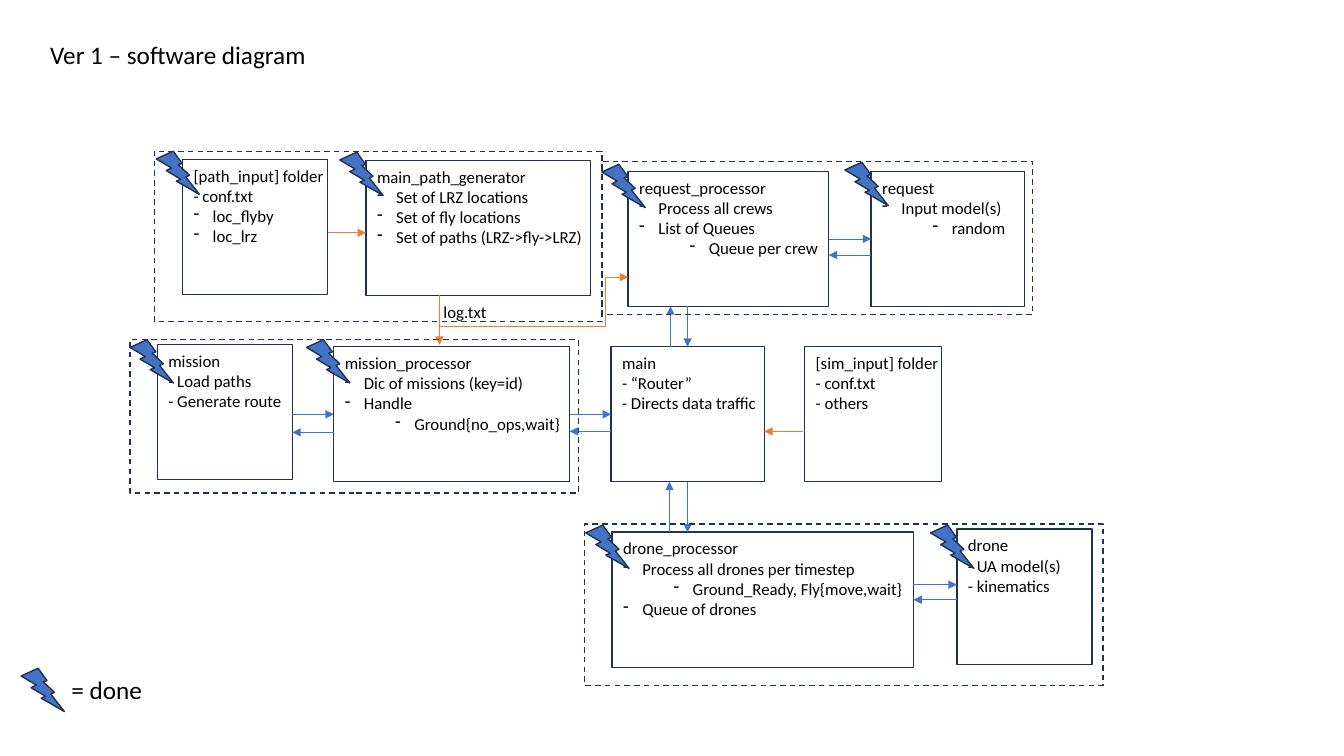
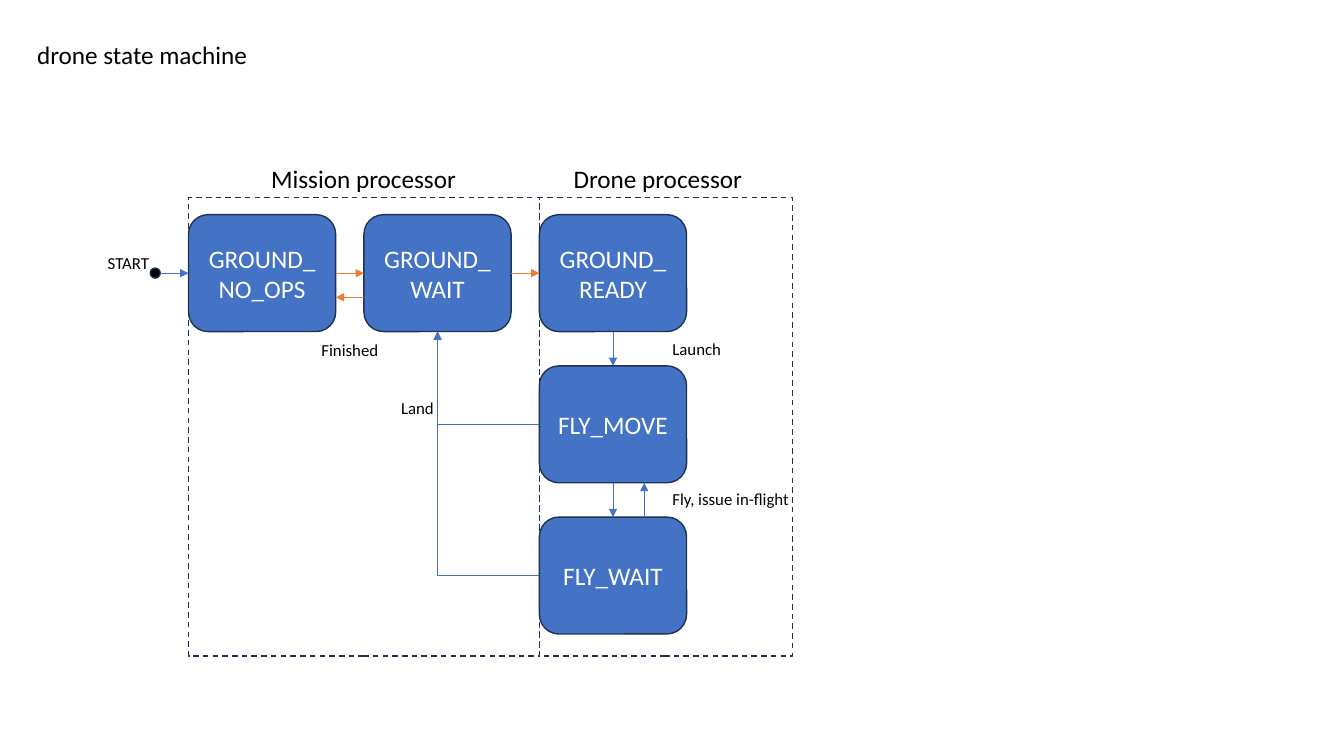
from dataclasses import dataclass

from lxml.etree import SubElement
from pptx import Presentation
from pptx.dml.color import RGBColor
from pptx.enum.dml import MSO_LINE
from pptx.enum.shapes import MSO_CONNECTOR, MSO_SHAPE
from pptx.enum.text import MSO_ANCHOR, PP_ALIGN
from pptx.oxml.ns import qn
from pptx.util import Inches, Pt


@dataclass(frozen=True)
class Theme:
    font: str = "Calibri"
    blue: RGBColor = RGBColor(0x44, 0x72, 0xC4)
    orange: RGBColor = RGBColor(0xED, 0x7D, 0x31)
    navy: RGBColor = RGBColor(0x1E, 0x32, 0x56)
    black: RGBColor = RGBColor(0, 0, 0)
    white: RGBColor = RGBColor(255, 255, 255)
    large: Pt = Pt(18)
    small: Pt = Pt(12)
    outline: Pt = Pt(1)
    arrow: Pt = Pt(0.5)


THEME = Theme()
TOP, LEFT, BOTTOM, RIGHT = range(4)
PLAIN, ITEM, SUBITEM = None, 0, 1
BULLET_INDENT = 0.19
SUBITEM_STEP = 0.5

CARD_HEIGHT = 1.34
CARD_FORMAT = {
    "margin_left": Inches(0.11), "margin_top": Inches(0.06), "margin_right": 0,
    "margin_bottom": 0, "vertical_anchor": MSO_ANCHOR.TOP, "word_wrap": True,
}
LABEL_FORMAT = {"word_wrap": False}
TITLE_FORMAT = {"word_wrap": True}
STATE_FORMAT = {"vertical_anchor": MSO_ANCHOR.MIDDLE, "word_wrap": True}

SOFTWARE_TITLE = ("Ver 1 – software diagram", 0.4)
MODULES = {
    "path_input": (1.81, 1.58, 1.44, [
        ("[path_input] folder", PLAIN), ("- conf.txt", PLAIN),
        ("loc_flyby", ITEM), ("loc_lrz", ITEM)]),
    "path_generator": (3.63, 1.59, 2.23, [
        ("main_path_generator", PLAIN), ("Set of LRZ locations", ITEM),
        ("Set of fly locations", ITEM), ("Set of paths (LRZ->fly->LRZ)", ITEM)]),
    "request_processor": (6.23, 1.7, 1.99, [
        ("request_processor", PLAIN), ("Process all crews", ITEM),
        ("List of Queues", ITEM), ("Queue per crew", SUBITEM)]),
    "request": (8.64, 1.7, 1.52, [
        ("request", PLAIN), ("Input model(s)", ITEM), ("random", SUBITEM)]),
    "mission": (1.56, 3.42, 1.34, [
        ("mission", PLAIN), ("- Load paths", PLAIN), ("- Generate route", PLAIN)]),
    "mission_processor": (3.31, 3.44, 2.34, [
        ("mission_processor", PLAIN), ("Dic of missions (key=id)", ITEM),
        ("Handle", ITEM), ("Ground{no_ops,wait}", SUBITEM)]),
    "main": (6.06, 3.44, 1.52, [
        ("main", PLAIN), ("- “Router”", PLAIN), ("- Directs data traffic", PLAIN)]),
    "sim_input": (7.98, 3.44, 1.36, [
        ("[sim_input] folder", PLAIN), ("- conf.txt", PLAIN), ("- others", PLAIN)]),
    "drone_processor": (6.07, 5.28, 2.99, [
        ("drone_processor", PLAIN), ("Process all drones per timestep", ITEM),
        ("Ground_Ready, Fly{move,wait}", SUBITEM), ("Queue of drones", ITEM)]),
    "drone": (9.49, 5.25, 1.34, [
        ("drone", PLAIN), ("- UA model(s)", PLAIN), ("- kinematics", PLAIN)]),
}
MODULE_GROUPS = [
    (1.53, 1.5, 4.44, 1.69), (5.97, 1.6, 4.27, 1.52),
    (1.29, 3.37, 4.45, 1.52), (5.8, 5.2, 5.14, 1.6),
]
DONE_MARKS = [
    (1.55, 1.5), (3.37, 1.51), (5.97, 1.63), (8.38, 1.61), (1.29, 3.37),
    (3.04, 3.37), (5.81, 5.21), (9.23, 5.21), (0.21, 6.63),
]
DONE_SIZE = 0.43
DATA_FLOWS = [
    ((3.25, 2.31), (3.63, 2.31)),
    ((4.36, 2.93), (4.36, 3.42)),
    ((7.96, 4.28), (7.58, 4.28)),
]
LOG_FLOW = ((4.36, 3.24), (6.23, 2.75))
LOG_BEND = 87800
CALLS = [
    (("request_processor", RIGHT), ("request", LEFT)),
    ((8.64, 2.53), (8.22, 2.53)),
    ((6.65, 3.44), (6.65, 3.04)),
    ((6.82, 3.04), ("main", TOP)),
    ((2.9, 4.11), ("mission_processor", LEFT)),
    ((3.31, 4.29), (2.9, 4.29)),
    (("mission_processor", RIGHT), ("main", LEFT)),
    ((6.06, 4.28), (5.65, 4.28)),
    ((6.64, 5.28), (6.64, 4.78)),
    (("main", BOTTOM), (6.82, 5.28)),
    ((9.06, 5.8), (9.49, 5.8)),
    ((9.49, 5.95), ("drone_processor", RIGHT)),
]
SOFTWARE_LABELS = [
    ("log.txt", 4.3, 2.94, 0.63, THEME.small),
    ("= done", 0.61, 6.64, 0.91, THEME.large),
]

STATE_TITLE = ("drone state machine", 0.27)
STATES = {
    "GROUND_NO_OPS": (0, 0), "GROUND_WAIT": (1, 0), "GROUND_READY": (2, 0),
    "FLY_MOVE": (2, 1), "FLY_WAIT": (2, 2),
}
STATE_ORIGIN = (1.87, 2.13)
STATE_PITCH = (1.74, 1.5)
STATE_SIZE = (1.46, 1.16)
START_DOT = (1.49, 2.66, 0.1, 0.1)
STATE_GROUPS = [(5.35, 1.96, 2.51, 4.55), (1.87, 1.96, 3.48, 4.55)]
GROUND_MOVES = [
    (("GROUND_NO_OPS", RIGHT), ("GROUND_WAIT", LEFT)),
    (("GROUND_WAIT", RIGHT), ("GROUND_READY", LEFT)),
    ((3.61, 2.95), (3.33, 2.95)),
]
FLIGHT_MOVES = [
    ((1.59, 2.71), ("GROUND_NO_OPS", LEFT)),
    (("GROUND_READY", BOTTOM), ("FLY_MOVE", TOP)),
    (("FLY_MOVE", BOTTOM), ("FLY_WAIT", TOP)),
    ((6.39, 5.13), (6.39, 4.79)),
]
LANDINGS = [
    (("FLY_MOVE", LEFT), ("GROUND_WAIT", BOTTOM)),
    (("FLY_WAIT", LEFT), ("GROUND_WAIT", BOTTOM)),
]
STATE_LABELS = [
    ("START", 0.97, 2.46, 0.62, THEME.small),
    ("Finished", 3.09, 3.32, 0.77, THEME.small),
    ("Land", 3.88, 3.9, 0.53, THEME.small),
    ("Launch", 6.57, 3.31, 0.69, THEME.small),
    ("Fly, issue in-flight", 6.57, 4.8, 1.37, THEME.small),
    ("Mission processor", 2.59, 1.57, 2.05, THEME.large),
    ("Drone processor", 5.59, 1.57, 1.89, THEME.large),
]


def apply_format(target, values):
    for attribute, value in values.items():
        setattr(target, attribute, value)


def indent_paragraph(paragraph, level):
    properties = paragraph._p.get_or_add_pPr()
    margin = BULLET_INDENT + level * SUBITEM_STEP
    properties.set("marL", str(Inches(margin)))
    properties.set("indent", str(-Inches(BULLET_INDENT)))
    SubElement(properties, qn("a:buChar"), char="-")


def write_lines(frame, lines, size, color, frame_format, align=PP_ALIGN.LEFT):
    apply_format(frame, frame_format)
    for index, (text, level) in enumerate(lines):
        paragraph = frame.add_paragraph() if index else frame.paragraphs[0]
        paragraph.alignment = align
        run = paragraph.add_run()
        run.text = text
        apply_format(run.font, {"name": THEME.font, "size": size})
        run.font.color.rgb = color
        if level is not PLAIN:
            paragraph.level = level
            indent_paragraph(paragraph, level)


def add_label(slide, text, left, top, width, size, frame_format=LABEL_FORMAT):
    height = 0.4 if size == THEME.large else 0.3
    label = slide.shapes.add_textbox(*map(Inches, (left, top, width, height)))
    write_lines(label.text_frame, [(text, PLAIN)], size, THEME.black, frame_format)


def add_outlined(slide, preset, bounds, fill=None, dashed=False):
    outlined = slide.shapes.add_shape(preset, *map(Inches, bounds))
    outlined.shadow.inherit = False
    if fill is None:
        outlined.fill.background()
    else:
        outlined.fill.solid()
        outlined.fill.fore_color.rgb = fill
    outlined.line.color.rgb = THEME.navy
    outlined.line.width = THEME.outline
    if dashed:
        outlined.line.dash_style = MSO_LINE.DASH
    return outlined


def side_middle(box, side):
    return {
        TOP: (box.left + box.width // 2, box.top),
        LEFT: (box.left, box.top + box.height // 2),
        BOTTOM: (box.left + box.width // 2, box.top + box.height),
        RIGHT: (box.left + box.width, box.top + box.height // 2),
    }[side]


def add_arrow(slide, boxes, start, end, color, kind=MSO_CONNECTOR.STRAIGHT):
    joined = [isinstance(tip[0], str) for tip in (start, end)]
    points = [
        side_middle(boxes[tip[0]], tip[1]) if is_joined else tuple(map(Inches, tip))
        for tip, is_joined in zip((start, end), joined)
    ]
    arrow = slide.shapes.add_connector(kind, *points[0], *points[1])
    if joined[0]:
        arrow.begin_connect(boxes[start[0]], start[1])
    if joined[1]:
        arrow.end_connect(boxes[end[0]], end[1])
    arrow.line.color.rgb = color
    arrow.line.width = THEME.arrow
    SubElement(arrow.line._get_or_add_ln(), qn("a:tailEnd"), type="triangle")
    SubElement(arrow._element.spPr, qn("a:effectLst"))
    return arrow


def add_elbow(slide, boxes, start, end, color, preset, bend=None):
    elbow = add_arrow(slide, boxes, start, end, color, MSO_CONNECTOR.ELBOW)
    geometry = elbow._element.spPr.find(qn("a:prstGeom"))
    geometry.set("prst", preset)
    if bend is not None:
        SubElement(geometry.find(qn("a:avLst")), qn("a:gd"), name="adj1", fmla=f"val {bend}")


def start_slide(deck, title, left):
    slide = deck.slides.add_slide(deck.slide_layouts[6])
    add_label(slide, title, left, 0.34, 6.67, THEME.large, TITLE_FORMAT)
    return slide


def finish_slide(slide, groups, labels):
    for bounds in groups:
        add_outlined(slide, MSO_SHAPE.RECTANGLE, bounds, dashed=True)
    for label in labels:
        add_label(slide, *label)


def build_software_diagram(deck):
    slide = start_slide(deck, *SOFTWARE_TITLE)
    cards = {}
    for name, (left, top, width, lines) in MODULES.items():
        bounds = (left, top, width, CARD_HEIGHT)
        cards[name] = add_outlined(slide, MSO_SHAPE.RECTANGLE, bounds)
        write_lines(cards[name].text_frame, lines, THEME.small, THEME.black, CARD_FORMAT)
    for flows, color in ((DATA_FLOWS, THEME.orange), (CALLS, THEME.blue)):
        for start, end in flows:
            add_arrow(slide, cards, start, end, color)
    add_elbow(slide, cards, *LOG_FLOW, THEME.orange, "bentConnector3", LOG_BEND)
    for corner in DONE_MARKS:
        bounds = (*corner, DONE_SIZE, DONE_SIZE)
        add_outlined(slide, MSO_SHAPE.LIGHTNING_BOLT, bounds, THEME.blue)
    finish_slide(slide, MODULE_GROUPS, SOFTWARE_LABELS)


def build_state_machine(deck):
    slide = start_slide(deck, *STATE_TITLE)
    states = {}
    for name, cell in STATES.items():
        corner = [origin + step * pitch
                  for origin, step, pitch in zip(STATE_ORIGIN, cell, STATE_PITCH)]
        bounds = (*corner, *STATE_SIZE)
        states[name] = add_outlined(slide, MSO_SHAPE.ROUNDED_RECTANGLE, bounds, THEME.blue)
        write_lines(states[name].text_frame, [(name, PLAIN)], THEME.large,
                    THEME.white, STATE_FORMAT, PP_ALIGN.CENTER)
    add_outlined(slide, MSO_SHAPE.OVAL, START_DOT, THEME.black)
    for moves, color in ((GROUND_MOVES, THEME.orange), (FLIGHT_MOVES, THEME.blue)):
        for start, end in moves:
            add_arrow(slide, states, start, end, color)
    for start, end in LANDINGS:
        add_elbow(slide, states, start, end, THEME.blue, "bentConnector2")
    finish_slide(slide, STATE_GROUPS, STATE_LABELS)


def main():
    deck = Presentation()
    deck.slide_width, deck.slide_height = Inches(13.33), Inches(7.5)
    build_software_diagram(deck)
    build_state_machine(deck)
    deck.save("out.pptx")


if __name__ == "__main__":
    main()
